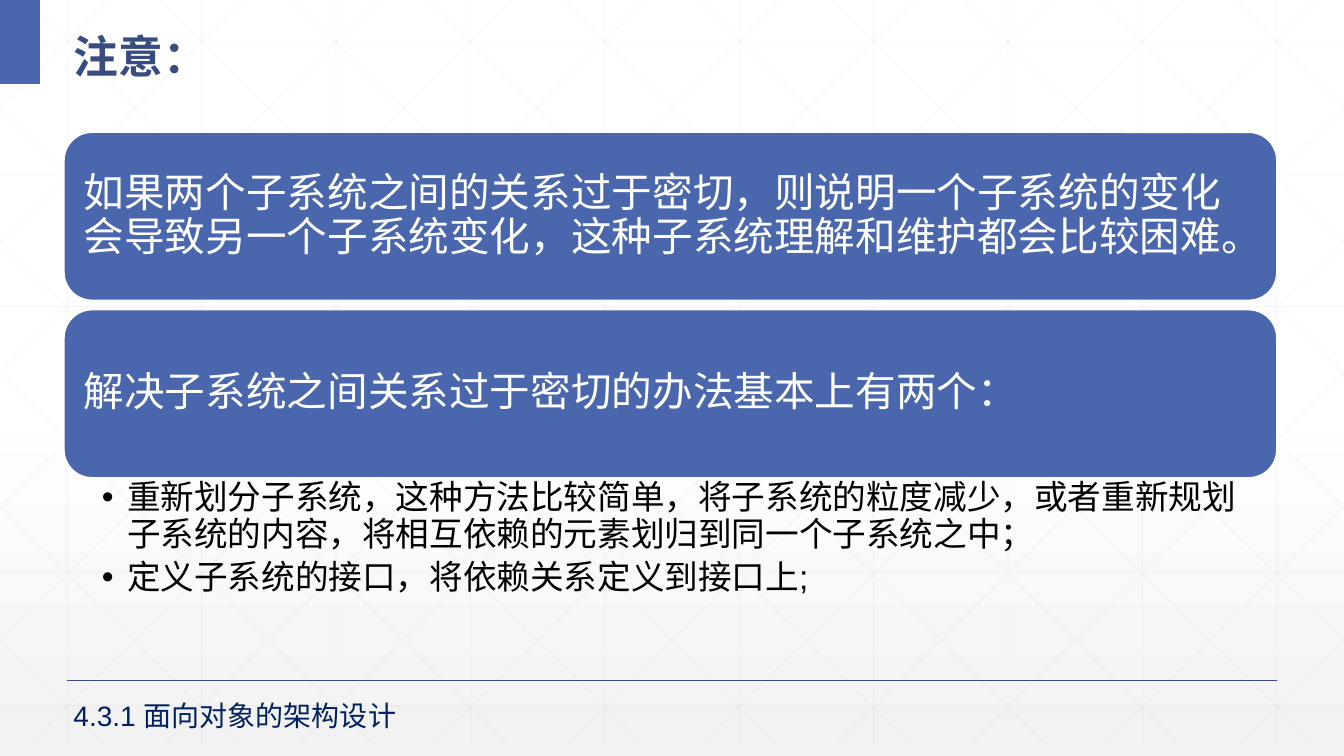
from lxml import etree
from pptx import Presentation
from pptx.dml.color import RGBColor
from pptx.enum.shapes import MSO_CONNECTOR, MSO_SHAPE
from pptx.enum.text import MSO_ANCHOR, PP_ALIGN
from pptx.oxml.ns import qn
from pptx.util import Emu, Pt

PX = 9525  # 96 px to the inch
WIDTH, HEIGHT = 1280, 720
RECT, ROUND_RECT = MSO_SHAPE.RECTANGLE, MSO_SHAPE.ROUNDED_RECTANGLE
STRAIGHT = MSO_CONNECTOR.STRAIGHT
TOP, MIDDLE = MSO_ANCHOR.TOP, MSO_ANCHOR.MIDDLE
LEFT = PP_ALIGN.LEFT

BLUE, DARK_BLUE, NAVY = "4A66AC", "384C81", "002060"
WHITE, BLACK, PALE, GRID = "FFFFFF", "000000", "F2F2F2", "D9D9D9"
BODY_FONT, TITLE_FONT = "Arial", "Noto Sans CJK SC"

NOTES = [
    "如果两个子系统之间的关系过于密切，则说明一个子系统的变化会导致另一个子系统变化，这种子系统理解和维护都会比较困难。",
    "解决子系统之间关系过于密切的办法基本上有两个：",
]
METHODS = [
    "重新划分子系统，这种方法比较简单，将子系统的粒度减少，或者重新规划子系统的内容，将相互依赖的元素划归到同一个子系统之中；",
    "定义子系统的接口，将依赖关系定义到接口上;",
]


def px(n):
    return Emu(n * PX)


def color(hex_string):
    return RGBColor.from_string(hex_string)


class SlideBuilder:
    def __init__(self, slide):
        self.s = slide

    def background(self):
        fill = self.s.background.fill
        fill.gradient()
        fill.gradient_angle = 270
        for stop, position, tint in zip(fill.gradient_stops, (0.53, 1), (WHITE, PALE)):
            stop.position = position
            stop.color.rgb = color(tint)

    def line(self, x1, y1, x2, y2, tint, width, opacity=None):
        """Draw a straight line; opacity is a percentage."""
        c = self.s.shapes.add_connector(STRAIGHT, px(x1), px(y1), px(x2), px(y2))
        c.line.color.rgb = color(tint)
        c.line.width = Pt(width)
        spPr = c._element.spPr
        if opacity:
            srgb = spPr.find(".//" + qn("a:srgbClr"))
            etree.SubElement(srgb, qn("a:alpha"), val=str(opacity * 1000))
        etree.SubElement(spPr, qn("a:effectLst"))

    def shape(self, kind, x, y, w, h, fill, outline=None):
        sp = self.s.shapes.add_shape(kind, px(x), px(y), px(w), px(h))
        sp.shadow.inherit = False
        sp.fill.solid()
        sp.fill.fore_color.rgb = color(fill)
        if outline:
            sp.line.color.rgb = color(outline)
            sp.line.width = Pt(1)
        else:
            sp.line.fill.background()
        return sp

    def text_box(self, x, y, w, h):
        return self.s.shapes.add_textbox(px(x), px(y), px(w), px(h))

    def set_text(self, sp, lines, size, tint, font=BODY_FONT, bold=False, anchor=TOP,
                 insets=(10, 5, 10, 5), spacing=1.0, after=0, bullet=False):
        """Fill a shape with paragraphs; insets run left, top, right, bottom."""
        tf = sp.text_frame
        tf.word_wrap = True
        tf.vertical_anchor = anchor
        tf.margin_left, tf.margin_top, tf.margin_right, tf.margin_bottom = map(px, insets)
        tf.text = "\n".join(lines)
        for p in tf.paragraphs:
            p.alignment = LEFT
            p.line_spacing = spacing
            p.space_after = Pt(after)
            if bullet:
                pPr = p._p.get_or_add_pPr()
                pPr.set("marL", str(px(24)))
                pPr.set("indent", str(px(-24)))
                etree.SubElement(pPr, qn("a:buFont"), typeface=BODY_FONT)
                etree.SubElement(pPr, qn("a:buChar"), char="•")
            for r in p.runs:
                r.font.name = font
                r.font.size = Pt(size)
                r.font.bold = bold
                r.font.color.rgb = color(tint)
                etree.SubElement(r._r.get_or_add_rPr(), qn("a:ea"), typeface=font)

    def grid(self):
        """Draw the faint lattice: verticals, horizontals and mirrored diagonals."""
        bottom, run = 708, 715
        lines = [(x, 0, x, bottom) for x in range(64, WIDTH, 128)]
        lines += [(0, y, WIDTH, y) for y in (40 + 632 * i // 5 for i in range(6))]
        for start in range(24 - 5 * 128, WIDTH, 128):
            x1, x2 = max(start, 0), min(start + run, WIDTH)
            y1, y2 = (round((x - start) * bottom / run) for x in (x1, x2))
            lines += [(x1, y1, x2, y2), (WIDTH - x1, y1, WIDTH - x2, y2)]
        for ends in lines:
            self.line(*ends, GRID, 0.5, opacity=25)


def main():
    prs = Presentation()
    prs.slide_width, prs.slide_height = px(WIDTH), px(HEIGHT)
    b = SlideBuilder(prs.slides.add_slide(prs.slide_layouts[6]))

    b.background()
    b.grid()
    b.line(64, 648, 1216, 648, DARK_BLUE, 1)
    b.shape(RECT, 0, 0, 38, 80, BLUE)
    b.set_text(b.text_box(60, 10, 1192, 70), ["注意："], 32, DARK_BLUE,
               font=TITLE_FONT, bold=True, anchor=MIDDLE, spacing=1.3)

    for i, note in enumerate(NOTES):
        card = b.shape(ROUND_RECT, 61, 126 + 169 * i, 1155, 160, BLUE, outline=WHITE)
        b.set_text(card, [note], 29, WHITE, anchor=MIDDLE,
                   insets=(11, 11, 11, 11), spacing=0.9, after=10)

    b.set_text(b.text_box(61, 455, 1155, 167), METHODS, 24, BLACK,
               insets=(36, 3, 18, 3), spacing=0.9, after=5, bullet=True)
    b.set_text(b.text_box(60, 660, 450, 42), ["4.3.1 面向对象的架构设计"], 20, NAVY)

    prs.save("out.pptx")


if __name__ == "__main__":
    main()
